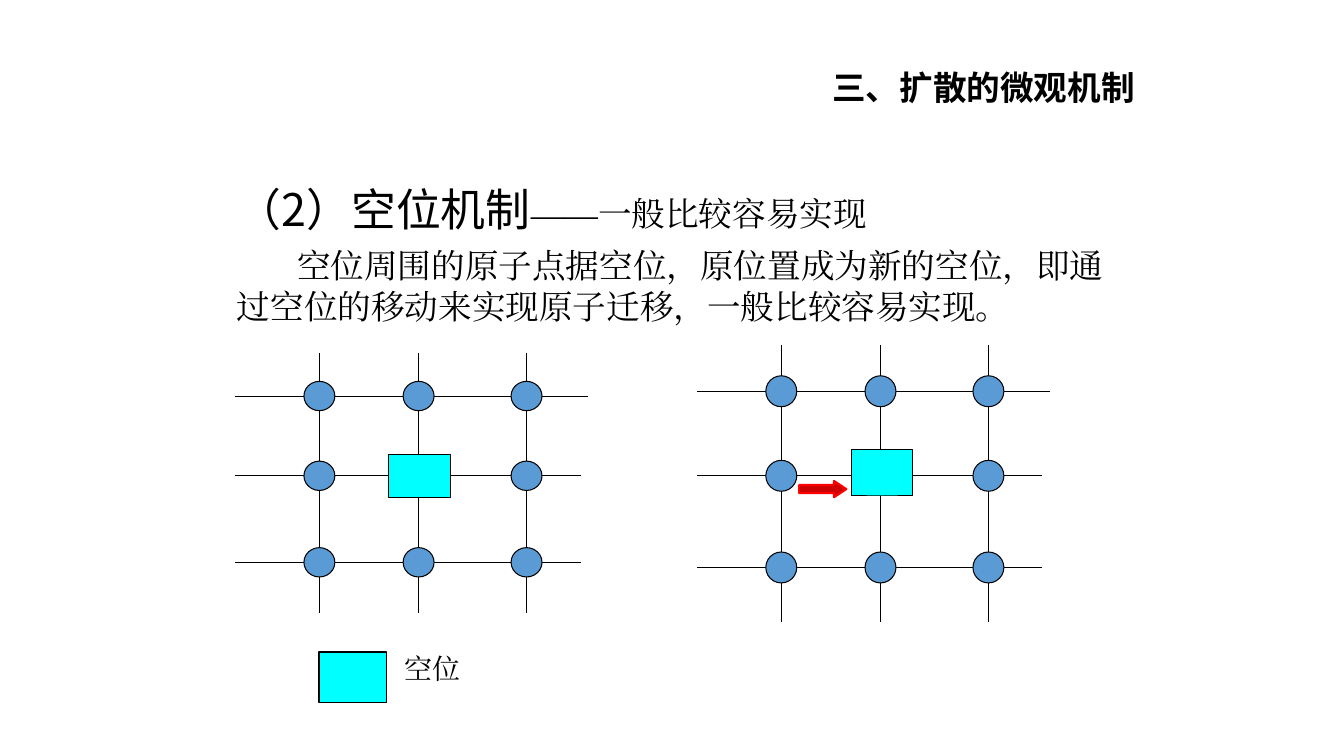
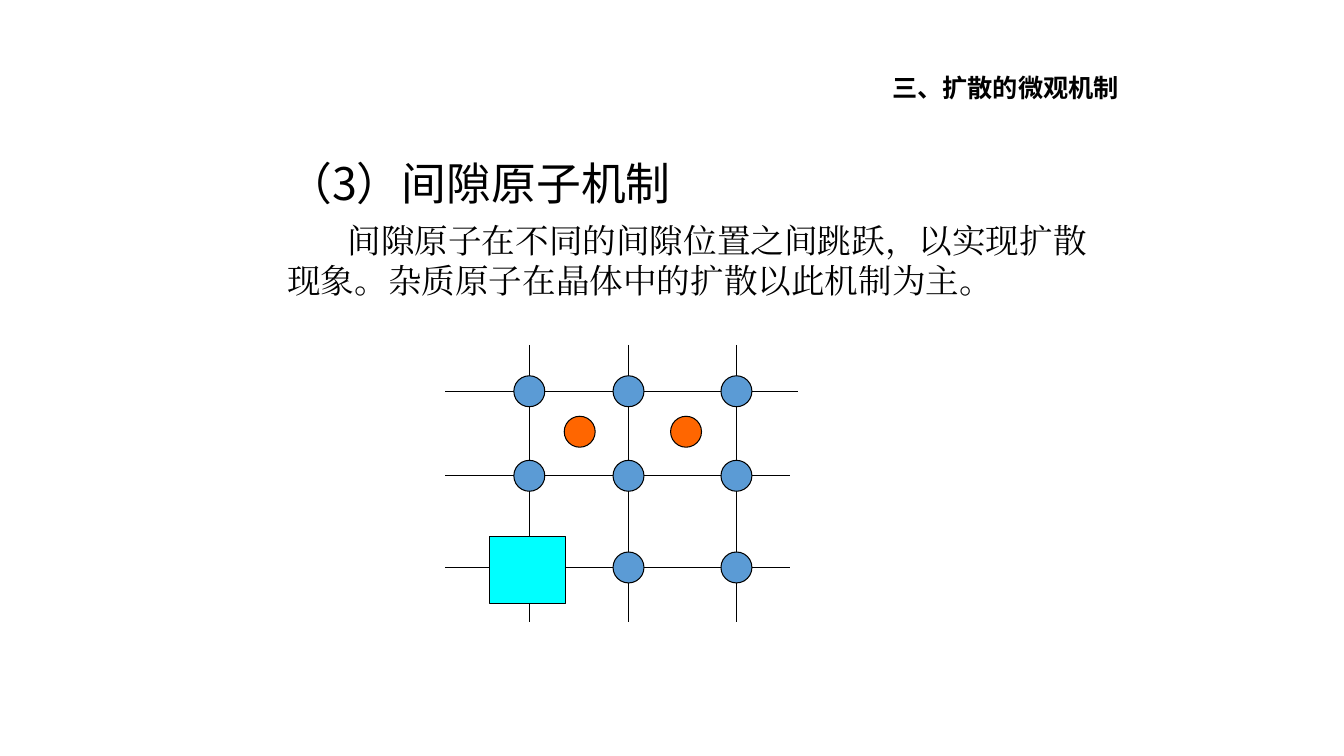
from dataclasses import dataclass

import pptx
import pptx.dml.color
import pptx.enum.shapes
import pptx.enum.text
import pptx.oxml
import pptx.oxml.ns
import pptx.util
from pptx.util import Cm, Pt

Shape = pptx.enum.shapes.MSO_SHAPE
Align = pptx.enum.text.PP_ALIGN


@dataclass(frozen=True)
class Theme:
    ink: str = "000000"
    atom: str = "5B9BD5"
    interstitial: str = "FF6600"
    vacancy: str = "00FFFF"
    arrow: str = "CC0000"
    arrow_edge: str = "FF0000"
    title_font: str = "Calibri"
    heading_font: str = "Noto Sans CJK SC"
    body_font: str = "Times New Roman"
    heading_size: int = 32
    body_size: int = 24
    label_size: int = 20
    line_width: float = 0.75


THEME = Theme()
TITLE = "三、扩散的微观机制"


@dataclass(frozen=True)
class Box:
    """Left, top, width and height in centimetres."""
    left: float
    top: float
    width: float
    height: float

    def lengths(self) -> tuple:
        return Cm(self.left), Cm(self.top), Cm(self.width), Cm(self.height)


@dataclass(frozen=True)
class TextStyle:
    size: float
    font: str
    bold: bool = False


HEADING = TextStyle(THEME.heading_size, THEME.heading_font)
BODY = TextStyle(THEME.body_size, THEME.body_font)
LABEL = TextStyle(THEME.label_size, THEME.body_font)


@dataclass(frozen=True)
class Lattice:
    """A 3 x 3 crystal lattice with one site taken by a vacancy."""
    left: float
    top: float
    bottom: float
    rows: tuple[float, ...]
    atom_height: float
    vacant_site: tuple[int, int]
    vacancy: Box
    column_offsets: tuple[float, ...] = (2.12, 4.62, 7.34)
    row_lengths: tuple[float, ...] = (8.89, 8.7, 8.7)
    atom_width: float = 0.78


def color(value: str) -> pptx.dml.color.RGBColor:
    return pptx.dml.color.RGBColor.from_string(value)


# Text
def style_run(run, style: TextStyle) -> None:
    run.font.size = Pt(style.size)
    run.font.name = style.font
    run.font.bold = style.bold
    run.font.color.rgb = color(THEME.ink)
    east_asian = pptx.oxml.parse_xml(
        f'<a:ea {pptx.oxml.ns.nsdecls("a")} typeface="{style.font}"/>')
    run.font._element.find(pptx.oxml.ns.qn("a:latin")).addnext(east_asian)


def add_text_frame(slide, box: Box):
    text_frame = slide.shapes.add_textbox(*box.lengths()).text_frame
    text_frame.word_wrap = True
    return text_frame


def add_titled_slide(presentation, left: float, size: int):
    slide = presentation.slides.add_slide(presentation.slide_layouts[5])
    title = slide.shapes.title
    title.left, title.top, title.width, title.height = Box(left, 1.52, 22.91, 1.45).lengths()
    text_frame = title.text_frame
    text_frame.text = TITLE
    text_frame.vertical_anchor = pptx.enum.text.MSO_ANCHOR.MIDDLE
    paragraph = text_frame.paragraphs[0]
    paragraph.alignment = Align.RIGHT
    paragraph.line_spacing = 0.9
    style_run(paragraph.runs[0], TextStyle(size, THEME.title_font, True))
    return slide


def add_explanation(slide, box: Box, heading: str, remark: str, body: str) -> None:
    text_frame = add_text_frame(slide, box)
    paragraph = text_frame.paragraphs[0]
    paragraph.text = heading
    style_run(paragraph.runs[0], HEADING)
    if remark:
        run = paragraph.add_run()
        run.text = remark
        style_run(run, BODY)

    paragraph = text_frame.add_paragraph()
    paragraph.text = body
    paragraph.space_before = Pt(7)
    paragraph._p.get_or_add_pPr().set("indent", str(Cm(1.52)))
    style_run(paragraph.runs[0], BODY)


# Drawing
def add_figure(slide, kind, box: Box, fill: str, edge: str = THEME.ink,
               width: float = THEME.line_width):
    shape = slide.shapes.add_shape(kind, *box.lengths())
    shape.shadow.inherit = False
    shape.fill.solid()
    shape.fill.fore_color.rgb = color(fill)
    shape.line.color.rgb = color(edge)
    shape.line.width = Pt(width)
    return shape


def add_line(slide, x1: float, y1: float, x2: float, y2: float) -> None:
    line = slide.shapes.add_connector(
        pptx.enum.shapes.MSO_CONNECTOR.STRAIGHT, Cm(x1), Cm(y1), Cm(x2), Cm(y2))
    line.line.color.rgb = color(THEME.ink)
    line.line.width = Pt(THEME.line_width)
    line._element.spPr.append(
        pptx.oxml.parse_xml(f'<a:effectLst {pptx.oxml.ns.nsdecls("a")}/>'))


def add_atom(slide, x: float, y: float, lattice: Lattice, fill: str = THEME.atom) -> None:
    width, height = lattice.atom_width, lattice.atom_height
    add_figure(slide, Shape.OVAL, Box(x - width / 2, y - height / 2, width, height), fill)


def add_lattice(slide, lattice: Lattice) -> None:
    columns = [lattice.left + offset for offset in lattice.column_offsets]
    for y, length in zip(lattice.rows, lattice.row_lengths):
        add_line(slide, lattice.left, y, lattice.left + length, y)
    for x in columns:
        add_line(slide, x, lattice.top, x, lattice.bottom)
    for row, y in enumerate(lattice.rows):
        for column, x in enumerate(columns):
            if (row, column) != lattice.vacant_site:
                add_atom(slide, x, y, lattice)
    add_figure(slide, Shape.RECTANGLE, lattice.vacancy, THEME.vacancy)


# Slides
def build_vacancy_slide(presentation) -> None:
    slide = add_titled_slide(presentation, 5.94, 24)
    add_explanation(
        slide, Box(5.72, 4.45, 22.66, 4.19), "（2）空位机制", "——一般比较容易实现",
        "空位周围的原子点据空位，原位置成为新的空位，即通过空位的移动来实现原子迁移，一般比较容易实现。")

    before = Lattice(5.93, 8.89, 15.44, (9.98, 11.99, 14.17), 0.74,
                     (1, 1), Box(9.8, 11.46, 1.55, 1.09))
    after = Lattice(17.57, 8.69, 15.67, (9.86, 11.99, 14.3), 0.78,
                    (1, 1), Box(21.46, 11.33, 1.55, 1.17))
    for lattice in (before, after):
        add_lattice(slide, lattice)

    # Jump of the neighbouring atom
    arrow = add_figure(slide, Shape.RIGHT_ARROW, Box(20.14, 12.12, 1.19, 0.41),
                       THEME.arrow, THEME.arrow_edge, 1.5)
    arrow.adjustments[1] = 0.76

    # Legend
    add_figure(slide, Shape.RECTANGLE, Box(8.04, 16.43, 1.7, 1.27), THEME.vacancy)
    text_frame = add_text_frame(slide, Box(9.95, 16.3, 2.33, 1.1))
    text_frame.text = "空位"
    style_run(text_frame.paragraphs[0].runs[0], LABEL)


def build_interstitial_slide(presentation) -> None:
    slide = add_titled_slide(presentation, 5.54, 18)
    add_explanation(
        slide, Box(6.99, 3.81, 21.39, 4.19), "（3）间隙原子机制", "",
        "间隙原子在不同的间隙位置之间跳跃，以实现扩散现象。杂质原子在晶体中的扩散以此机制为主。")

    lattice = Lattice(11.22, 8.69, 15.67, (9.86, 11.99, 14.3), 0.78,
                      (2, 0), Box(12.34, 13.51, 1.92, 1.7))
    add_lattice(slide, lattice)
    for x in (14.61, 17.29):
        add_atom(slide, x, 10.88, lattice, THEME.interstitial)


def main() -> None:
    presentation = pptx.Presentation()
    presentation.slide_width = Cm(33.87)
    presentation.slide_height = Cm(19.05)
    build_vacancy_slide(presentation)
    build_interstitial_slide(presentation)
    presentation.save("out.pptx")


if __name__ == "__main__":
    main()
